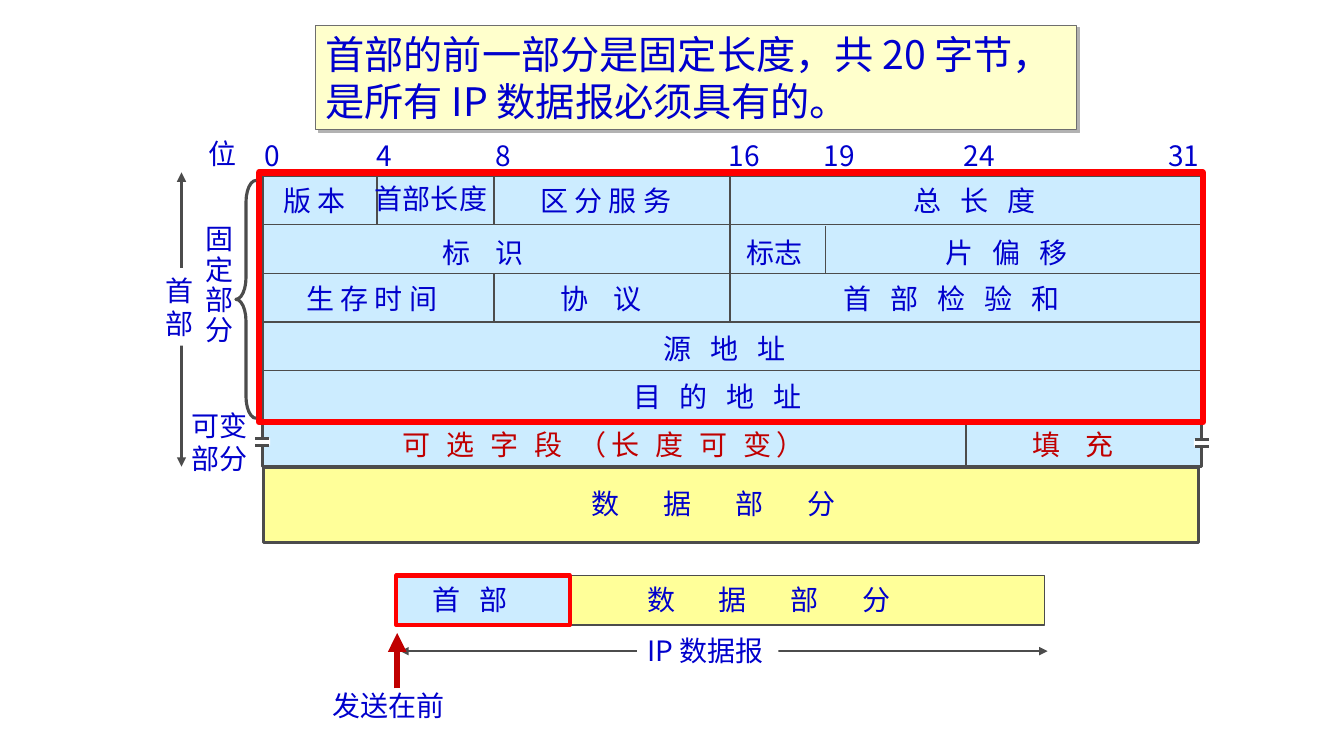
import pptx
import pptx.util
import pptx.dml.color
import pptx.enum.shapes
import pptx.enum.text
import pptx.oxml
import pptx.oxml.ns
from lxml import etree
from pptx.util import Inches

COLORS = {
    "text": "0000CC", "accent": "C00000", "frame": "FF0000", "line": "4C4C4C",
    "header": "CCECFF", "data": "FFFF99", "title": "FFFFCC", "title_line": "6E6E6E",
    "shadow": "B2B2B2", "white": "FFFFFF",
}
FONT = "Noto Sans CJK SC"
SHAPE = pptx.enum.shapes.MSO_SHAPE
qn = pptx.oxml.ns.qn


def rgb(name):
    return pptx.dml.color.RGBColor.from_string(COLORS[name])


def write(frame, text, color="text", size=20, tracking=0, line_spacing=None, wrap=False):
    """Fill a text frame, one paragraph per line; tracking is letter spacing in points."""
    frame.text = text
    frame.word_wrap = wrap
    frame.vertical_anchor = pptx.enum.text.MSO_ANCHOR.TOP
    frame.auto_size = pptx.enum.text.MSO_AUTO_SIZE.SHAPE_TO_FIT_TEXT
    for paragraph in frame.paragraphs:
        paragraph.alignment = pptx.enum.text.PP_ALIGN.LEFT
        if line_spacing:
            paragraph.line_spacing = line_spacing
        paragraph.font.size = pptx.util.Pt(size)
        paragraph.font.color.rgb = rgb(color)
        paragraph.font.name = FONT
        properties = paragraph._p.pPr.find(qn("a:defRPr"))
        etree.SubElement(properties, qn("a:ea")).set("typeface", FONT)
        if tracking:
            properties.set("spc", str(round(tracking * 100)))


presentation = pptx.Presentation()
presentation.slide_width = Inches(13.33)
presentation.slide_height = Inches(7.5)
slide = presentation.slides.add_slide(presentation.slide_layouts[6])
shapes = slide.shapes

# Lines: start, end, colour, width, arrow ends
ROW_LEFT, ROW_RIGHT = 2.59, 11.93
row_lines = [2.23 + i * 1.93 / 4 for i in range(5)]
lines = [(ROW_LEFT, y, ROW_RIGHT, y, "line", 1, ()) for y in row_lines]
for x, top, bottom in [(3.74, 1.74, 2.23), (4.9, 1.74, 2.23), (4.9, 2.72, 3.2),
                       (7.24, 1.74, 3.2), (8.19, 2.24, 2.71), (9.58, 4.16, 4.64)]:
    lines.append((x, top, x, bottom, "line", 1, ()))
both_ends = ("a:headEnd", "a:tailEnd")
lines += [
    (3.97, 6.46, 10.39, 6.46, "line", 1, both_ends),
    (1.8, 1.71, 1.8, 4.63, "line", 2.25, both_ends),
    (3.94, 6.83, 3.94, 6.28, "accent", 4.5, ("a:tailEnd",)),
]

# Blocks: kind, box, fill, line colour, line width
fields = [
    (SHAPE.RECTANGLE, (3.94, 5.71, 1.71, 0.49), "header", "line", 1),
    (SHAPE.RECTANGLE, (2.6, 1.74, 9.32, 2.89), "header", "line", 2),
    (SHAPE.RECTANGLE, (2.61, 4.64, 9.28, 0.74), "data", "line", 2.25),
    (SHAPE.RECTANGLE, (5.64, 5.71, 4.72, 0.49), "data", "line", 1),
]
for left, top in [(2.52, 4.35), (11.84, 4.36)]:
    fields.append((SHAPE.RECTANGLE, (left, top, 0.16, 0.07), "white", None, 0))
    for y in (top, top + 0.07):
        lines.append((left + 0.01, y, left + 0.15, y, "line", 2, ()))
frames = [
    (SHAPE.RECTANGLE, (2.57, 1.71, 9.36, 2.48), None, "frame", 4.5),
    (SHAPE.RECTANGLE, (3.93, 5.71, 1.72, 0.49), None, "frame", 3),
    (SHAPE.LEFT_BRACE, (2.34, 1.79, 0.2, 2.36), None, "line", 2.25),
    (SHAPE.RECTANGLE, (3.13, 0.25, 7.55, 1.04), "title", "title_line", 0.75),
]

# Labels: text, left, top, width, height, options
labels = [
    ("固\n定\n部\n分", 1.94, 2.19, 0.48, 1.31, {"line_spacing": 0.9}),
    ("可变\n部分", 1.8, 4, 0.76, 0.77, {}),
    ("首\n部", 1.54, 2.66, 0.48, 0.77, {}),
    ("位", 1.97, 1.31, 0.48, 0.43, {}),
    ("首部长度", 3.62, 1.75, 1.32, 0.43, {}),
    ("数 据 部 分", 5.77, 4.78, 3.45, 0.43, {"tracking": 13.4, "wrap": True}),
    ("数 据 部 分", 6.32, 5.73, 3.67, 0.43, {"tracking": 13.4, "wrap": True}),
    ("首 部", 4.19, 5.73, 1.01, 0.43, {"tracking": 4.5}),
    ("IP 数据报", 6.32, 6.24, 1.4, 0.43, {"wrap": True}),
    ("发送在前", 3.2, 6.78, 1.32, 0.43, {}),
]
for bit, left in [(0, 2.53), (4, 3.64), (8, 4.82), (16, 7.13), (19, 8.07),
                  (24, 9.46), (31, 11.49)]:
    labels.append((str(bit), left, 1.32, 0.37 if bit < 10 else 0.55, 0.43, {}))

# Header field names by row: text, left, width, tracking
field_rows = {
    1.77: [("版 本", 2.71, 0.84, 0), ("区 分 服 务", 5.26, 1.56, 0),
           ("总 长 度", 8.96, 1.55, 4.5)],
    2.29: [("标 识", 4.29, 1.1, 6.7), ("标志", 7.31, 0.76, 0),
           ("片 偏 移", 9.28, 1.55, 4.5)],
    2.74: [("生 存 时 间", 2.94, 1.56, 0), ("协 议", 5.46, 1.1, 6.7),
           ("首 部 检 验 和", 8.27, 2.61, 4.5)],
    3.24: [("源 地 址", 6.48, 1.55, 4.5)],
    3.72: [("目 的 地 址", 6.18, 2.08, 4.5)],
    4.19: [("可 选 字 段 （长 度 可 变）", 3.89, 4.69, 3.5), ("填 充", 10.14, 1.1, 6.7)],
}
for top, names in field_rows.items():
    color = "accent" if top == 4.19 else "text"
    for text, left, width, tracking in names:
        labels.append((text, left, top, width, 0.43, {"tracking": tracking, "color": color}))

# Draw from back to front: fields, lines, labels, frames
for group in (fields, frames):
    for kind, box, fill, line_color, line_width in group:
        block = shapes.add_shape(kind, *map(Inches, box))
        block.shadow.inherit = False
        if fill:
            block.fill.solid()
            block.fill.fore_color.rgb = rgb(fill)
        else:
            block.fill.background()
        if line_color:
            block.line.color.rgb = rgb(line_color)
            block.line.width = pptx.util.Pt(line_width)
        else:
            block.line.fill.background()
        if kind == SHAPE.LEFT_BRACE:
            block.adjustments[0] = 1.08
    if group is frames:
        break

    for x1, y1, x2, y2, color, width, arrow_ends in lines:
        rule = shapes.add_connector(pptx.enum.shapes.MSO_CONNECTOR.STRAIGHT,
                                    *map(Inches, (x1, y1, x2, y2)))
        rule.line.color.rgb = rgb(color)
        rule.line.width = pptx.util.Pt(width)
        for end in arrow_ends:
            etree.SubElement(rule.line._get_or_add_ln(), qn(end)).set("type", "triangle")
        etree.SubElement(rule._element.spPr, qn("a:effectLst"))

    for text, left, top, width, height, options in labels:
        label = shapes.add_textbox(*map(Inches, (left, top, width, height)))
        write(label.text_frame, text, **options)
        if text in ("首\n部", "IP 数据报"):
            label.fill.solid()
            label.fill.fore_color.rgb = rgb("white")

# The last frame is the title box
title = block
write(title.text_frame, "首部的前一部分是固定长度，共 20 字节，是所有 IP 数据报必须具有的。",
      size=28, wrap=True)
title._element.spPr.find(qn("a:effectLst")).append(pptx.oxml.parse_xml(
    f'<a:outerShdw {pptx.oxml.ns.nsdecls("a")} dist="35560" dir="2700000" algn="ctr" '
    f'rotWithShape="0"><a:srgbClr val="{COLORS["shadow"]}"/></a:outerShdw>'))

presentation.save("out.pptx")
